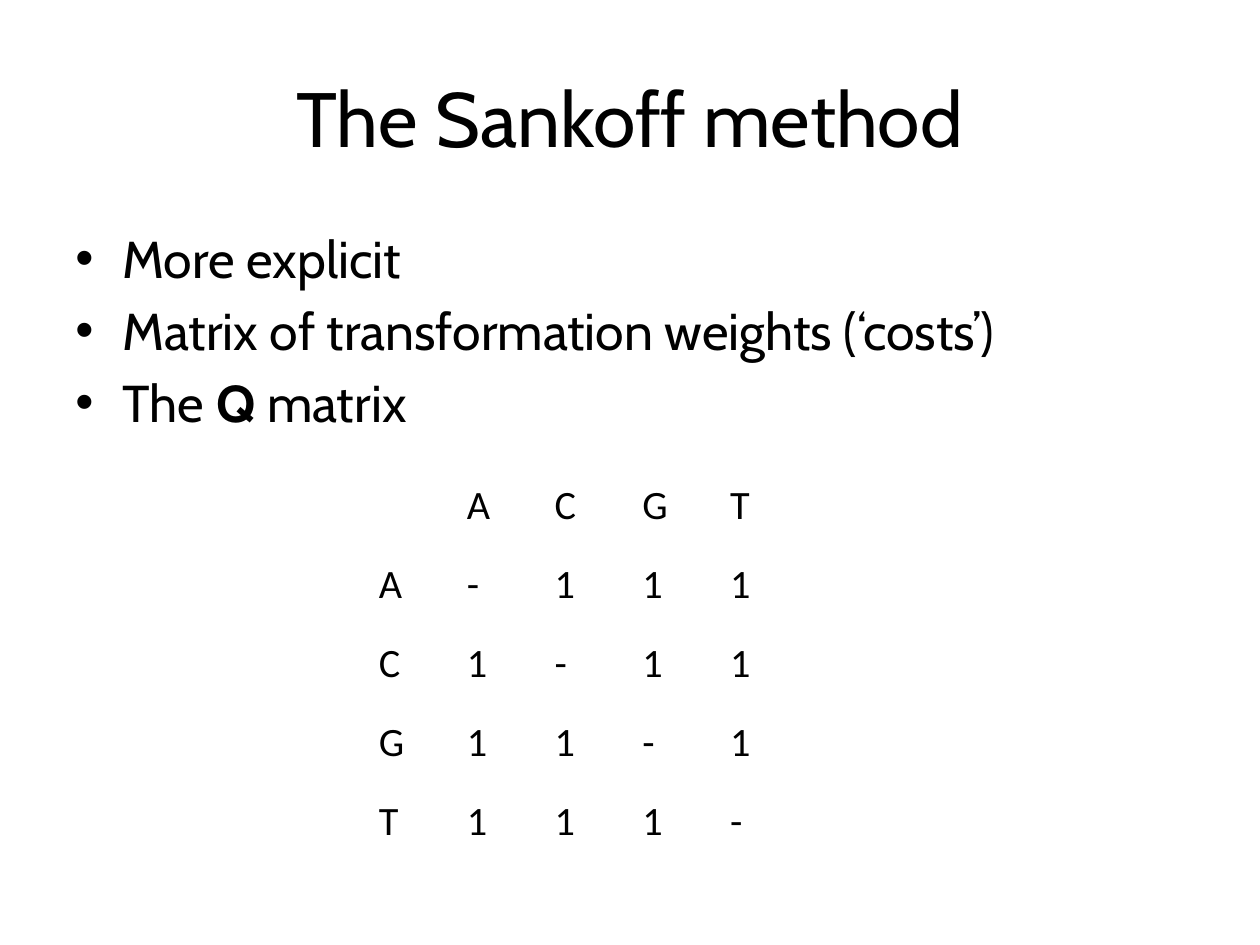
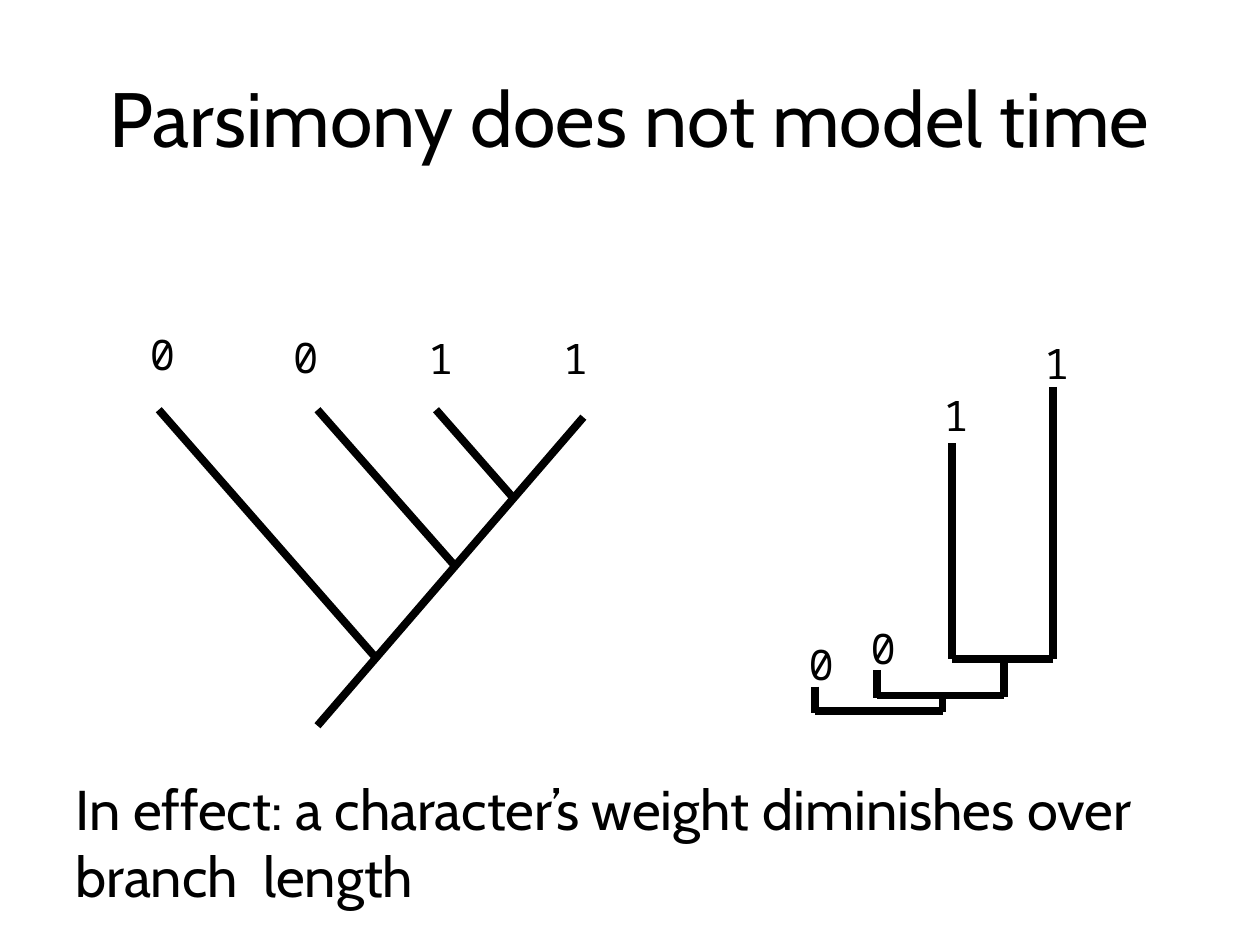
from lxml import etree
from pptx import Presentation
from pptx import util as u
from pptx.dml.color import RGBColor
from pptx.enum import shapes, text
from pptx.oxml import ns

BLACK = RGBColor(0, 0, 0)
HEADING_FONT = "Cabin"
MATRIX_FONT = "Calibri"
STATE_FONT = "Noto Sans Mono"
TITLE_AREA = (1.27, 0.76, 22.86, 3.18)


def write(frame, paragraphs, size, font=HEADING_FONT, align=text.PP_ALIGN.LEFT,
          anchor=text.MSO_ANCHOR.TOP, wrap=True, gap=0, bullet=None):
    frame.word_wrap = wrap
    frame.vertical_anchor = anchor
    for index, content in enumerate(paragraphs):
        paragraph = frame.add_paragraph() if index else frame.paragraphs[0]
        if bullet:
            properties = paragraph._p.get_or_add_pPr()
            properties.set("marL", str(u.Cm(0.95)))
            properties.set("indent", str(u.Cm(-0.95)))
            etree.SubElement(properties, ns.qn("a:buFont"), typeface="Arial")
            etree.SubElement(properties, ns.qn("a:buChar"), char=bullet)
        paragraph.alignment = align
        if index:
            paragraph.space_before = u.Pt(gap)
        for part, words in enumerate(content.split("*")):
            run = paragraph.add_run()
            run.text = words
            run.font.name = font
            run.font.size = u.Pt(size)
            run.font.bold = part % 2 == 1
            run.font.color.rgb = BLACK


def draw_branch(slide, start_x, start_y, end_x, end_y):
    branch = slide.shapes.add_connector(
        shapes.MSO_CONNECTOR.STRAIGHT,
        u.Cm(start_x), u.Cm(start_y), u.Cm(end_x), u.Cm(end_y))
    branch.line.color.rgb = BLACK
    branch.line.width = u.Pt(4.5)
    etree.SubElement(branch._element.spPr, ns.qn("a:effectLst"))


deck = Presentation()
deck.slide_width = u.Cm(25.4)
deck.slide_height = u.Cm(19.05)

titles = ["The Sankoff method", "Parsimony does not model time"]
for title in titles:
    slide = deck.slides.add_slide(deck.slide_layouts[6])
    heading = slide.shapes.add_textbox(*map(u.Cm, TITLE_AREA))
    write(heading.text_frame, [title], 44, align=text.PP_ALIGN.CENTER,
          anchor=text.MSO_ANCHOR.MIDDLE)
sankoff, parsimony = deck.slides

features = sankoff.shapes.add_textbox(u.Cm(1.27), u.Cm(4.45), u.Cm(22.86), u.Cm(4.37))
write(features.text_frame,
      ["More explicit", "Matrix of transformation weights (‘costs’)", "The *Q *matrix"],
      29.6, gap=5.5, bullet="•")

bases = "ACGT"
costs = [["", *bases]]
for origin in bases:
    costs.append([origin] + ["-" if origin == target else "1" for target in bases])

q_matrix = sankoff.shapes.add_table(
    5, 5, u.Cm(7.34), u.Cm(9.55), u.Cm(8.85), u.Cm(7.95)).table
q_matrix.first_row = False
q_matrix.horz_banding = False
for row, cost_row in enumerate(costs):
    for column, cost in enumerate(cost_row):
        cell = q_matrix.cell(row, column)
        cell.fill.background()
        cell.margin_left = cell.margin_right = u.Cm(0.3)
        cell.margin_top = cell.margin_bottom = u.Cm(0.15)
        write(cell.text_frame, [cost], 23, font=MATRIX_FONT)

cladogram_branches = [
    (11.76, 8.41, 6.4, 14.63),
    (8.79, 8.26, 10.34, 10.03),
    (6.4, 8.26, 9.19, 11.43),
    (3.2, 8.26, 7.62, 13.31),
]
phylogram_branches = [
    (19.2, 8.94, 19.2, 13.28),
    (21.23, 7.8, 21.23, 13.28),
    (21.23, 13.28, 19.2, 13.28),
    (20.24, 13.28, 20.24, 14.05),
    (20.24, 14.02, 17.68, 14.02),
    (17.68, 13.51, 17.68, 14.07),
    (19, 14.02, 19, 14.35),
    (19, 14.33, 16.43, 14.33),
    (16.43, 13.84, 16.43, 14.38),
]
for ends in cladogram_branches + phylogram_branches:
    draw_branch(parsimony, *ends)

tip_states = [
    ("0", 2.77, 6.58), ("0", 5.66, 6.63), ("1", 8.38, 6.65), ("1", 11.1, 6.65),
    ("0", 16.05, 12.83), ("0", 17.3, 12.5), ("1", 18.77, 7.8), ("1", 20.8, 6.76),
]
for state, left, top in tip_states:
    tip = parsimony.shapes.add_textbox(u.Cm(left), u.Cm(top), u.Cm(1.02), u.Cm(1.37))
    tip.text_frame.margin_top = u.Cm(0.05)
    write(tip.text_frame, [state], 24, font=STATE_FONT, wrap=False)

conclusion = parsimony.shapes.add_textbox(u.Cm(1.27), u.Cm(15.49), u.Cm(22.86), u.Cm(2.79))
write(conclusion.text_frame,
      ["In effect: a character’s weight diminishes over branch  length"], 32)

deck.save("out.pptx")
